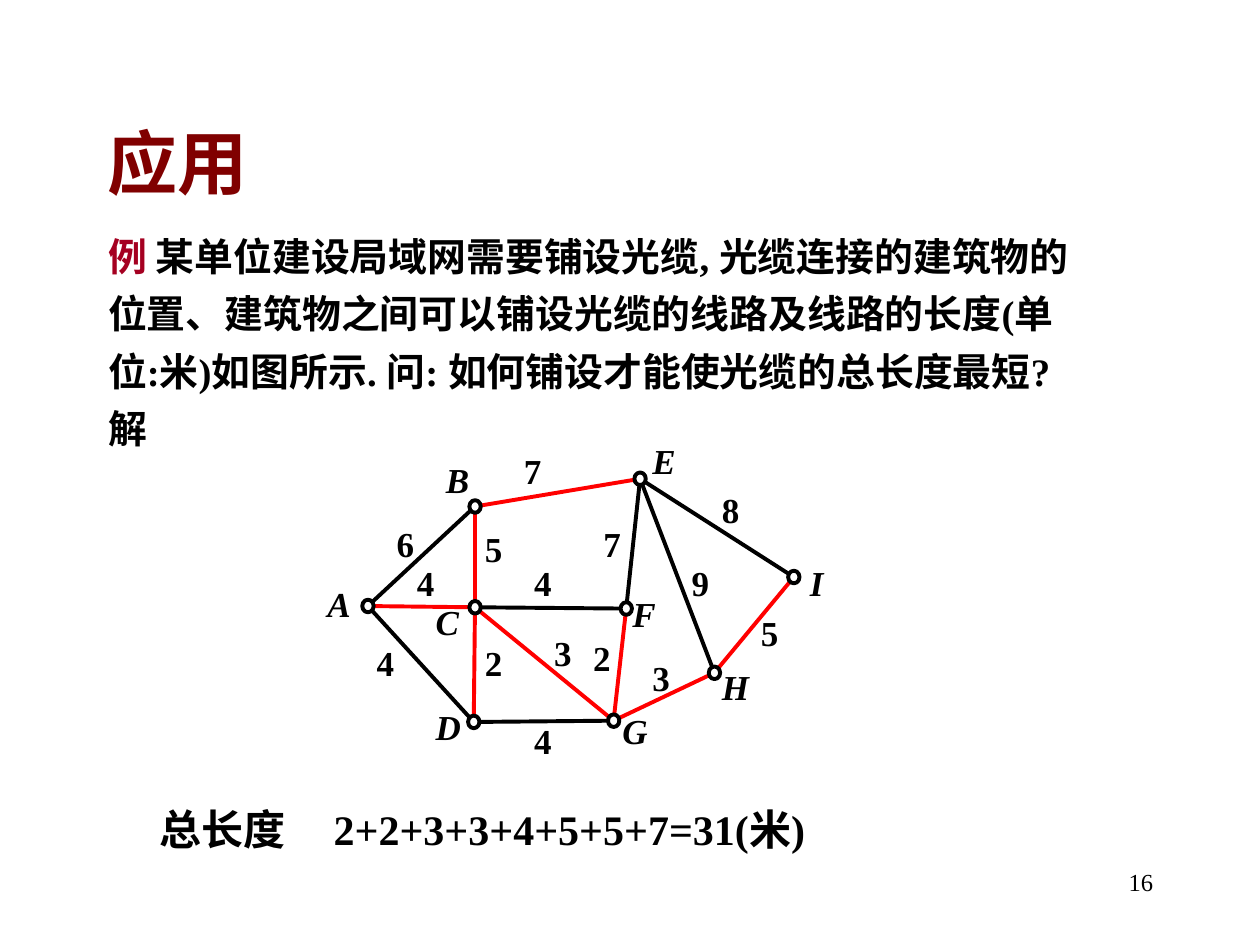
import pptx
import pptx.util
import pptx.dml.color
import pptx.enum.shapes
import pptx.enum.text
import pptx.oxml
import pptx.oxml.ns
from pptx.util import Inches

COLORS = {"black": "000000", "white": "FFFFFF", "title": "800000",
          "example": "A50021", "tree": "FF0000"}
FONT = "Times New Roman"


def add_span(para, text, size, color="black", bold=True, italic=False):
    span = para.add_run()
    span.text = text
    span.font.name = FONT
    span.font.size = pptx.util.Pt(size)
    span.font.bold = bold
    span.font.italic = italic
    span.font.color.rgb = pptx.dml.color.RGBColor.from_string(COLORS[color])


def add_box(shapes, left, top, width, height):
    box = shapes.add_textbox(Inches(left), Inches(top), Inches(width), Inches(height))
    box.text_frame.word_wrap = True
    return box


deck = pptx.Presentation()
deck.slide_width, deck.slide_height = Inches(10), Inches(7.5)
page = deck.slides.add_slide(deck.slide_layouts[5])

# Title
title = page.shapes.title
title.left, title.top = Inches(0.75), Inches(0.66)
title.width, title.height = Inches(8.5), Inches(1.25)
title.text_frame.vertical_anchor = pptx.enum.text.MSO_ANCHOR.MIDDLE
para = title.text_frame.paragraphs[0]
para.alignment = pptx.enum.text.PP_ALIGN.LEFT
add_span(para, "应用", 40, "title")

# Problem statement
problem_lines = [
    [("例", "example"), (" 某单位建设局域网需要铺设光缆, 光缆连接的建筑物的", "black")],
    [("位置、建筑物之间可以铺设光缆的线路及线路的长度(单", "black")],
    [("位:米)如图所示. 问: 如何铺设才能使光缆的总长度最短?", "black")],
    [("解", "black")],
]
frame = add_box(page.shapes, 0.76, 1.8, 8.5, 2.03).text_frame
for number, line in enumerate(problem_lines):
    para = frame.add_paragraph() if number else frame.paragraphs[0]
    para.space_before = pptx.util.Pt(6 if number else 0)
    for text, color in line:
        add_span(para, text, 22.2, color)

# Graph nodes: centre x, centre y, label left, label top
nodes = {
    "A": (2.92, 4.81, 2.5, 4.57),
    "B": (3.77, 4.02, 3.44, 3.59),
    "C": (3.77, 4.82, 3.36, 4.72),
    "D": (3.76, 5.73, 3.36, 5.55),
    "E": (5.08, 3.8, 5.08, 3.44),
    "F": (4.97, 4.83, 4.92, 4.65),
    "G": (4.87, 5.72, 4.84, 5.58),
    "H": (5.67, 5.34, 5.63, 5.23),
    "I": (6.3, 4.58, 6.33, 4.41),
}
# Graph edges: end nodes, weight, weight left, weight top
edges = [
    ("AB", "6", 3.05, 4.1), ("AC", "4", 3.21, 4.41), ("AD", "4", 2.89, 5.04),
    ("BC", "5", 3.75, 4.14), ("CD", "2", 3.75, 5.04), ("BE", "7", 4.06, 3.52),
    ("CF", "4", 4.14, 4.41), ("CG", "3", 4.3, 4.96), ("DG", "4", 4.14, 5.66),
    ("EF", "7", 4.69, 4.1), ("FG", "2", 4.61, 5), ("EI", "8", 5.63, 3.83),
    ("EH", "9", 5.39, 4.41), ("HI", "5", 5.94, 4.8), ("GH", "3", 5.08, 5.16),
]
spanning_tree = {"AC", "BC", "CD", "BE", "CG", "FG", "GH", "HI"}
node_width, node_height = 0.09, 0.1

graph = page.shapes.add_group_shape().shapes
for ends, _, _, _ in edges:
    start, end = ends
    edge = graph.add_connector(
        pptx.enum.shapes.MSO_CONNECTOR.STRAIGHT,
        *[Inches(value) for value in nodes[start][:2] + nodes[end][:2]])
    color = COLORS["tree" if ends in spanning_tree else "black"]
    edge.line.color.rgb = pptx.dml.color.RGBColor.from_string(color)
    edge.line.width = pptx.util.Pt(2.25)
    edge._element.spPr.append(
        pptx.oxml.parse_xml(f"<a:effectLst {pptx.oxml.ns.nsdecls('a')}/>"))

for x, y, _, _ in nodes.values():
    node = graph.add_shape(
        pptx.enum.shapes.MSO_SHAPE.OVAL,
        Inches(x - node_width / 2), Inches(y - node_height / 2),
        Inches(node_width), Inches(node_height))
    node.shadow.inherit = False
    node.fill.solid()
    node.fill.fore_color.rgb = pptx.dml.color.RGBColor.from_string(COLORS["white"])
    node.line.color.rgb = pptx.dml.color.RGBColor.from_string(COLORS["black"])
    node.line.width = pptx.util.Pt(2.25)

for name, (_, _, left, top) in nodes.items():
    label = add_box(graph, left, top, 0.55, 0.51)
    add_span(label.text_frame.paragraphs[0], name, 20, italic=True)

for _, weight, left, top in edges:
    label = add_box(graph, left, top, 0.39, 0.35)
    add_span(label.text_frame.paragraphs[0], weight, 20)

# Total length, with the sum at a tab stop
total = add_box(page.shapes, 1.17, 6.33, 7.03, 0.5)
para = total.text_frame.paragraphs[0]
para._p.get_or_add_pPr().append(pptx.oxml.parse_xml(
    f"<a:tabLst {pptx.oxml.ns.nsdecls('a')}>"
    f'<a:tab pos="{Inches(1.38)}" algn="l"/></a:tabLst>'))
add_span(para, "总长度\t2+2+3+3+4+5+5+7=31(米)", 24)

# Page number
page_number = add_box(page.shapes, 7.17, 6.83, 2.08, 0.5)
para = page_number.text_frame.paragraphs[0]
para.alignment = pptx.enum.text.PP_ALIGN.RIGHT
add_span(para, "16", 14, bold=False)

deck.save("out.pptx")
